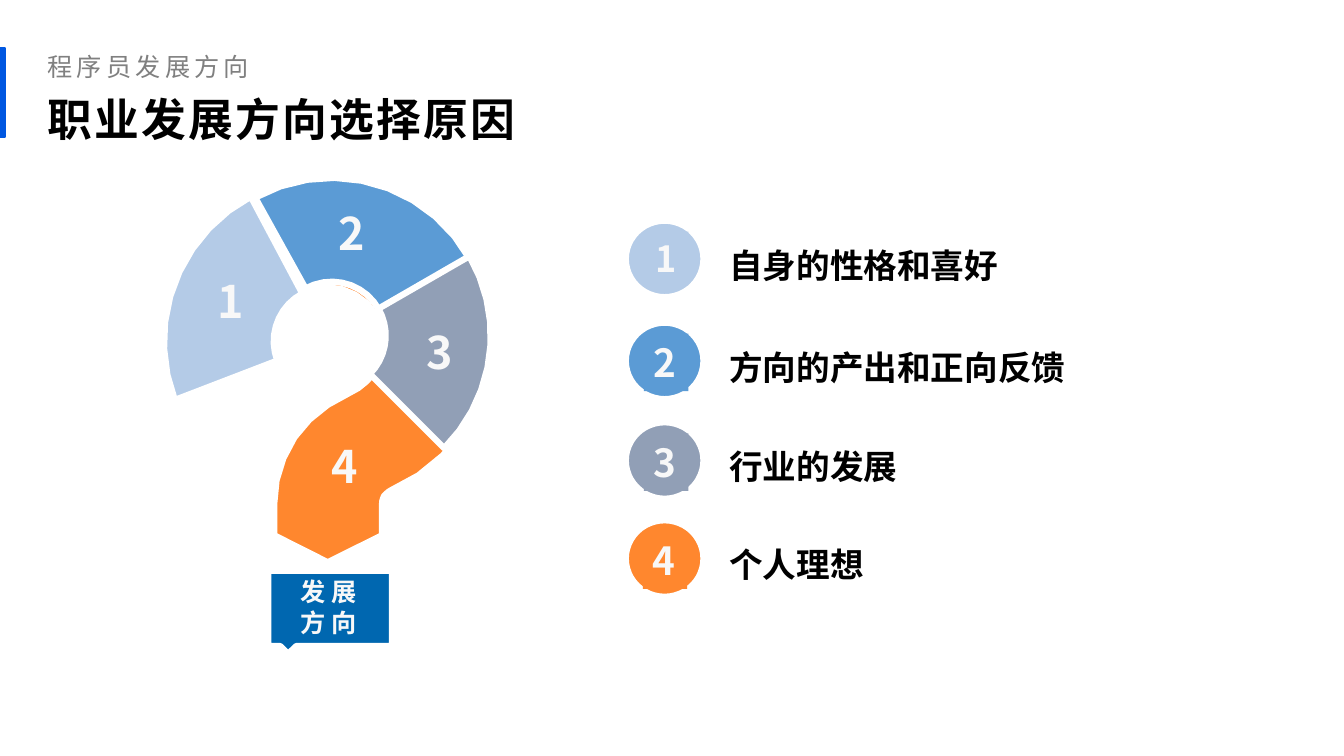
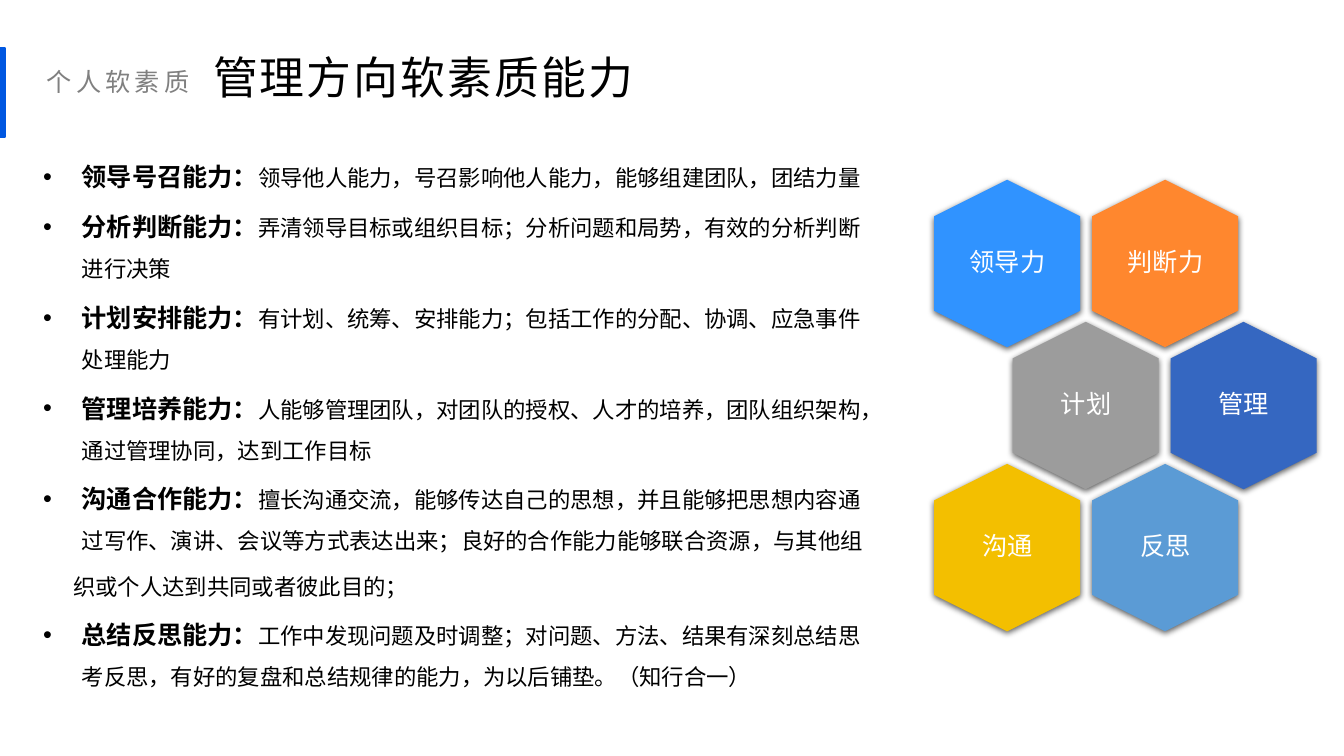
from dataclasses import dataclass
from math import cos, radians, sin

from lxml import etree
from pptx import Presentation
from pptx.dml.color import RGBColor
from pptx.enum.shapes import MSO_SHAPE
from pptx.enum.text import MSO_ANCHOR, PP_ALIGN
from pptx.oxml.ns import qn
from pptx.util import Cm, Pt

RECT, OVAL, HEXAGON = MSO_SHAPE.RECTANGLE, MSO_SHAPE.OVAL, MSO_SHAPE.HEXAGON
TOP, MIDDLE, BOTTOM = MSO_ANCHOR.TOP, MSO_ANCHOR.MIDDLE, MSO_ANCHOR.BOTTOM
LEFT, CENTER = PP_ALIGN.LEFT, PP_ALIGN.CENTER

FONT = "Noto Sans CJK SC"
BLACK, WHITE, OFF_WHITE, GRAY = "000000", "FFFFFF", "F8F8F8", "808080"
ACCENT, LABEL_BLUE, ORANGE = "0057E1", "0067B0", "FF872E"
PALE, SKY, SLATE = "B4CBE7", "5B9BD5", "919FB6"
OUTLINE = 4.5
INSET, SMALL_INSET = (0.25, 0.13, 0.25, 0.13), (0.18, 0.1, 0.18, 0.1)


@dataclass
class Style:
    size: float
    color: str = BLACK
    bold: bool = False
    spacing: float = 0


@dataclass
class Box:
    left: float
    top: float
    width: float
    height: float

    def emu(self) -> tuple:
        return Cm(self.left), Cm(self.top), Cm(self.width), Cm(self.height)


@dataclass
class Sector:
    center: tuple
    outer: float
    inner: float
    start: float
    end: float
    color: str

    def points(self, steps: int = 9) -> list:
        angles = [radians(self.start + (self.end - self.start) * i / steps) for i in range(steps + 1)]
        x, y = self.center
        rings = ((self.outer, angles), (self.inner, angles[::-1]))
        return [(x + r * cos(a), y - r * sin(a)) for r, ring in rings for a in ring]


@dataclass
class Reason:
    text: str
    color: str
    digit_at: tuple
    top: float
    badge: Box
    badge_size: float = 27.6


@dataclass
class Hexagon:
    text: str
    color: str
    row: int
    col: int


@dataclass
class Ability:
    name: str
    detail: str


SECTORS = [
    Sector((8.36, 8.46), 3.98, 1.36, 119, 29, SKY),
    Sector((8.36, 8.46), 4.01, 1.36, 30, -45, SLATE),
    Sector((8.26, 8.6), 4.13, 1.36, 118, 201, PALE),
]
HOOK_START = (4.45, 10.21)
HOOK = [
    ((4.24, 9.68), (4.14, 9.17), (4.14, 8.66)),
    ((4.14, 7.85), (4.37, 7.06), (4.83, 6.4)),
    ((5.26, 5.74), (5.89, 5.21), (6.65, 4.88)),
    ((7.14, 4.67), (7.67, 4.55), (8.23, 4.55)),
    ((9.37, 4.55), (10.41, 5), (11.15, 5.74)),
    ((11.89, 6.48), (12.34, 7.49), (12.34, 8.64)),
    ((12.34, 9.42), (12.12, 10.21), (11.66, 10.87)),
    ((11.23, 11.53), (10.59, 12.04), (9.83, 12.37)),
    ((9.78, 12.4), (9.73, 12.45), (9.68, 12.5)),
    ((9.65, 12.57), (9.63, 12.62), (9.63, 12.7)),
    ((9.63, 13.49),),
    ((8.26, 14.17),),
    ((6.91, 13.49),),
    ((6.91, 12.7),),
    ((6.91, 12.09), (7.09, 11.53), (7.42, 11.02)),
    ((7.75, 10.54), (8.23, 10.16), (8.79, 9.91)),
    ((9.04, 9.8), (9.25, 9.63), (9.42, 9.4)),
    ((9.55, 9.17), (9.65, 8.92), (9.65, 8.64)),
    ((9.65, 8.23), (9.5, 7.9), (9.25, 7.65)),
    ((8.97, 7.39), (8.64, 7.24), (8.23, 7.24)),
    ((8.03, 7.24), (7.85, 7.26), (7.7, 7.34)),
    ((7.44, 7.44), (7.24, 7.62), (7.09, 7.87)),
    ((6.93, 8.1), (6.83, 8.38), (6.83, 8.66)),
    ((6.83, 8.84), (6.88, 9.02), (6.93, 9.17)),
]
LABEL = [(6.76, 14.38), (9.88, 14.38), (9.88, 16.28), (7.47, 16.28),
         (7.26, 16.48), (7.06, 16.28), (6.76, 16.28)]
REASONS = [
    Reason("自身的性格和喜好", PALE, (5.23, 6.78), 5.56, Box(16.28, 5.84, 1.07, 1.35), 25.7),
    Reason("方向的产出和正向反馈", SKY, (8.28, 5.05), 8.13, Box(16.23, 8.41, 1.12, 1.45)),
    Reason("行业的发展", SLATE, (10.49, 8.05), 10.64, Box(16.23, 10.92, 1.12, 1.45)),
    Reason("个人理想", ORANGE, (8.1, 10.92), 13.11, Box(16.2, 13.39, 1.12, 1.45)),
]
HEXAGONS = [
    Hexagon("领导力", "3093FF", 0, 0),
    Hexagon("判断力", ORANGE, 0, 1),
    Hexagon("计划", "9C9C9C", 1, 0),
    Hexagon("管理", "3567C1", 1, 1),
    Hexagon("沟通", "F3BF00", 2, 0),
    Hexagon("反思", SKY, 2, 1),
]
ABILITIES = [
    Ability("领导号召能力：", "领导他人能力，号召影响他人能力，能够组建团队，团结力量"),
    Ability("分析判断能力：", "弄清领导目标或组织目标；分析问题和局势，有效的分析判断进行决策"),
    Ability("计划安排能力：", "有计划、统筹、安排能力；包括工作的分配、协调、应急事件处理能力"),
    Ability("管理培养能力：", "人能够管理团队，对团队的授权、人才的培养，团队组织架构，通过管理协同，达到工作目标"),
    Ability("沟通合作能力：", "擅长沟通交流，能够传达自己的思想，并且能够把思想内容通过写作、演讲、会议等方式表达出来；"
            "良好的合作能力能够联合资源，与其他组"),
    Ability("", "织或个人达到共同或者彼此目的；"),
    Ability("总结反思能力：", "工作中发现问题及时调整；对问题、方法、结果有深刻总结思考反思，"
            "有好的复盘和总结规律的能力，为以后铺垫。（知行合一）"),
]


def rgb(color: str) -> RGBColor:
    return RGBColor.from_string(color)


def format_run(r, style: Style) -> None:
    r.font.size = Pt(style.size)
    r.font.bold = style.bold
    r.font.color.rgb = rgb(style.color)
    r.font.name = FONT
    rpr = r.font._element
    if style.spacing:
        rpr.set("spc", str(int(style.spacing * 100)))
    etree.SubElement(rpr, qn("a:ea")).set("typeface", FONT)


def set_text(sp, text: str, style: Style, inset: tuple = (0, 0, 0, 0), align=LEFT,
             anchor=TOP, spacing: float = 1, wrap: bool = True) -> None:
    tf = sp.text_frame
    tf.word_wrap = wrap
    tf.vertical_anchor = anchor
    tf.margin_left, tf.margin_top, tf.margin_right, tf.margin_bottom = map(Cm, inset)
    p = tf.paragraphs[0]
    p.text = text
    p.alignment = align
    p.line_spacing = spacing
    format_run(p.runs[0], style)


def add_text(s, box: Box, text: str, style: Style, **layout) -> None:
    set_text(s.shapes.add_textbox(*box.emu()), text, style, **layout)


def paint(sp, fill: str, line: str = "", width: float = 1) -> None:
    sp.shadow.inherit = False
    sp.fill.solid()
    sp.fill.fore_color.rgb = rgb(fill)
    if line:
        sp.line.color.rgb = rgb(line)
        sp.line.width = Pt(width)
    else:
        sp.line.fill.background()


def add_outline(s, points: list, color: str) -> None:
    (x, y), *rest = [(Cm(x), Cm(y)) for x, y in points]
    builder = s.shapes.build_freeform(x, y)
    builder.add_line_segments(rest, close=True)
    paint(builder.convert_to_shape(), color, WHITE, OUTLINE)


def flatten(start: tuple, segments: list, steps: int = 3) -> list:
    points = [start]
    for segment in segments:
        if len(segment) == 1:
            points.append(segment[0])
            continue
        controls = (points[-1], *segment)
        for i in range(1, steps + 1):
            t = i / steps
            weights = ((1 - t) ** 3, 3 * t * (1 - t) ** 2, 3 * t * t * (1 - t), t ** 3)
            points.append(tuple(sum(w * c[k] for w, c in zip(weights, controls)) for k in (0, 1)))
    return points


def add_slide(prs, title: str, title_box: Box, bold: bool, topic: str, topic_box: Box):
    s = prs.slides.add_slide(prs.slide_layouts[6])
    bar = s.shapes.add_shape(RECT, *Box(0, 1.21, 0.13, 2.24).emu())
    paint(bar, ACCENT, ACCENT)
    add_text(s, title_box, title, Style(32, BLACK, bold, 1.5),
             inset=(0.25, 0, 0.25, 0.13), spacing=1.2)
    add_text(s, topic_box, topic, Style(18, GRAY, spacing=3),
             inset=(0.25, 0.13, 0.25, 0), anchor=BOTTOM, spacing=1.2)
    return s


def add_question_mark(s) -> None:
    add_outline(s, LABEL, LABEL_BLUE)
    add_outline(s, flatten(HOOK_START, HOOK), ORANGE)
    for sector in SECTORS:
        add_outline(s, sector.points(), sector.color)
    add_text(s, Box(7.11, 14.43, 2.34, 1.73), "发 展方 向", Style(18, OFF_WHITE, True),
             inset=SMALL_INSET, align=CENTER)


def add_reason(s, digit: str, reason: Reason) -> None:
    add_text(s, Box(*reason.digit_at, 1.55, 1.63), digit, Style(32, OFF_WHITE, True), inset=INSET)
    circle = s.shapes.add_shape(OVAL, *Box(15.77, reason.top, 1.96, 1.93).emu())
    paint(circle, reason.color, WHITE, OUTLINE)
    badge = s.shapes.add_shape(RECT, *reason.badge.emu())
    paint(badge, reason.color)
    set_text(badge, digit, Style(reason.badge_size, OFF_WHITE, True), inset=INSET, wrap=False)
    add_text(s, Box(18.2, reason.top, 10.64, 1.73), reason.text, Style(24, BLACK, True),
             inset=SMALL_INSET, spacing=1.5)


def add_drop_shadow(sp) -> None:
    effects = sp._element.spPr.find(qn("a:effectLst"))
    shadow = etree.SubElement(effects, qn("a:outerShdw"), blurRad=str(Pt(4.5)),
                              dist=str(Pt(1.5)), dir="5400000", rotWithShape="0")
    color = etree.SubElement(shadow, qn("a:srgbClr"), val=BLACK)
    etree.SubElement(color, qn("a:alpha"), val="63000")


def add_hexagon(s, item: Hexagon) -> None:
    left = 23.27 + 3.98 * item.col + 1.98 * (item.row % 2)
    top = 4.8 + 3.58 * item.row
    sp = s.shapes.add_shape(HEXAGON, *Box(left, top, 4.22, 3.68).emu())
    sp.rotation = 90
    paint(sp, item.color)
    add_drop_shadow(sp)
    add_text(s, Box(left + 0.85, top + 0.39, 2.54, 2.9), item.text, Style(18, WHITE),
             align=CENTER, anchor=MIDDLE, spacing=0.9)


def add_abilities(s, box: Box) -> None:
    tf = s.shapes.add_textbox(*box.emu()).text_frame
    tf.word_wrap = True
    for i, ability in enumerate(ABILITIES):
        p = tf.add_paragraph() if i else tf.paragraphs[0]
        p.line_spacing = 1.5
        p.space_before = Pt(3.6 if i else 0)
        ppr = p._p.get_or_add_pPr()
        ppr.set("marL", str(Cm(0.97 if ability.name else 0.76)))
        if ability.name:
            ppr.set("indent", str(Cm(-0.97)))
            etree.SubElement(ppr, qn("a:buFont")).set("typeface", "Arial")
            etree.SubElement(ppr, qn("a:buChar")).set("char", "•")
            r = p.add_run()
            r.text = ability.name
            format_run(r, Style(18, BLACK, True))
        r = p.add_run()
        r.text = ability.detail
        format_run(r, Style(16))


def main() -> None:
    prs = Presentation()
    prs.slide_width, prs.slide_height = Cm(33.87), Cm(19.05)

    s = add_slide(prs, "职业发展方向选择原因", Box(0.96, 2.03, 31.32, 1.68), True,
                  "程序员发展方向", Box(0.95, 0.83, 26.62, 1.22))
    add_question_mark(s)
    for i, reason in enumerate(REASONS, 1):
        add_reason(s, str(i), reason)

    s = add_slide(prs, "管理方向软素质能力", Box(5.12, 0.99, 28, 1.68), False,
                  "个人软素质", Box(0.93, 1.22, 4.39, 1.22))
    for item in HEXAGONS:
        add_hexagon(s, item)
    add_abilities(s, Box(0.84, 3.56, 21.44, 13.31))

    prs.save("out.pptx")


if __name__ == "__main__":
    main()
